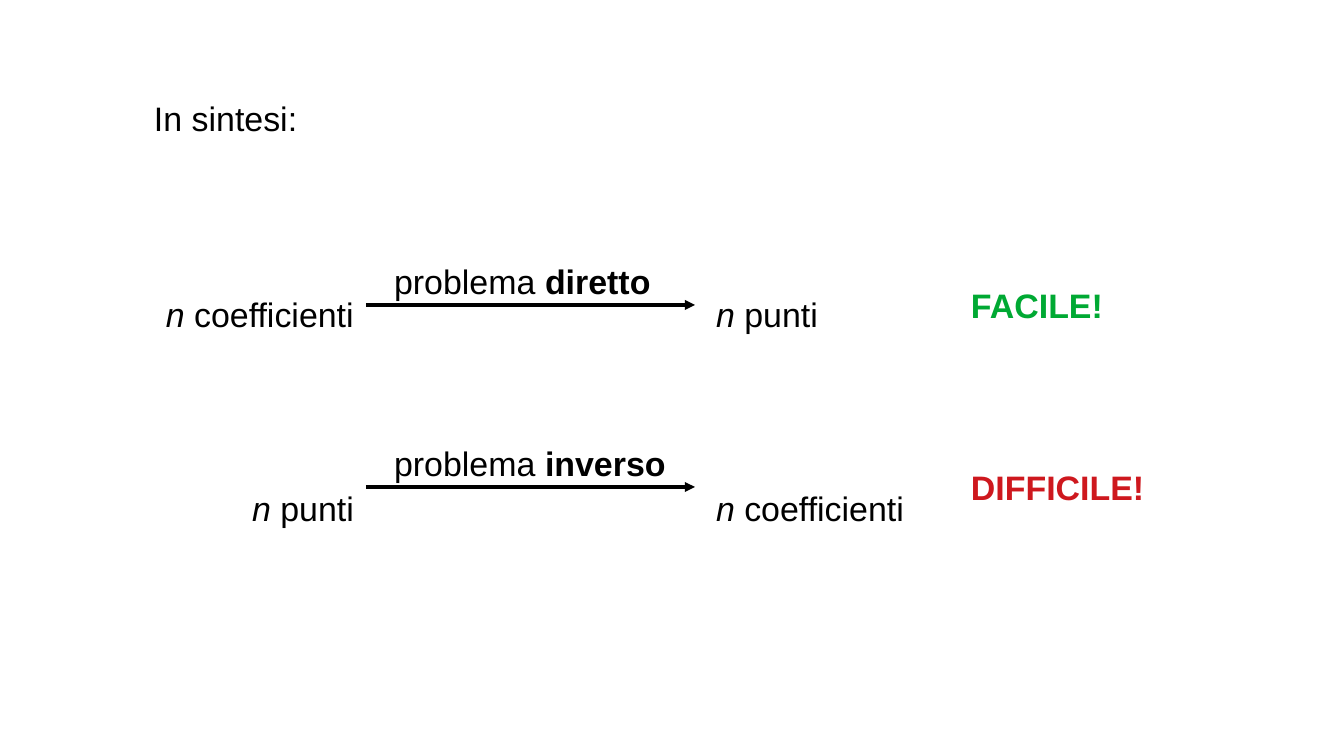
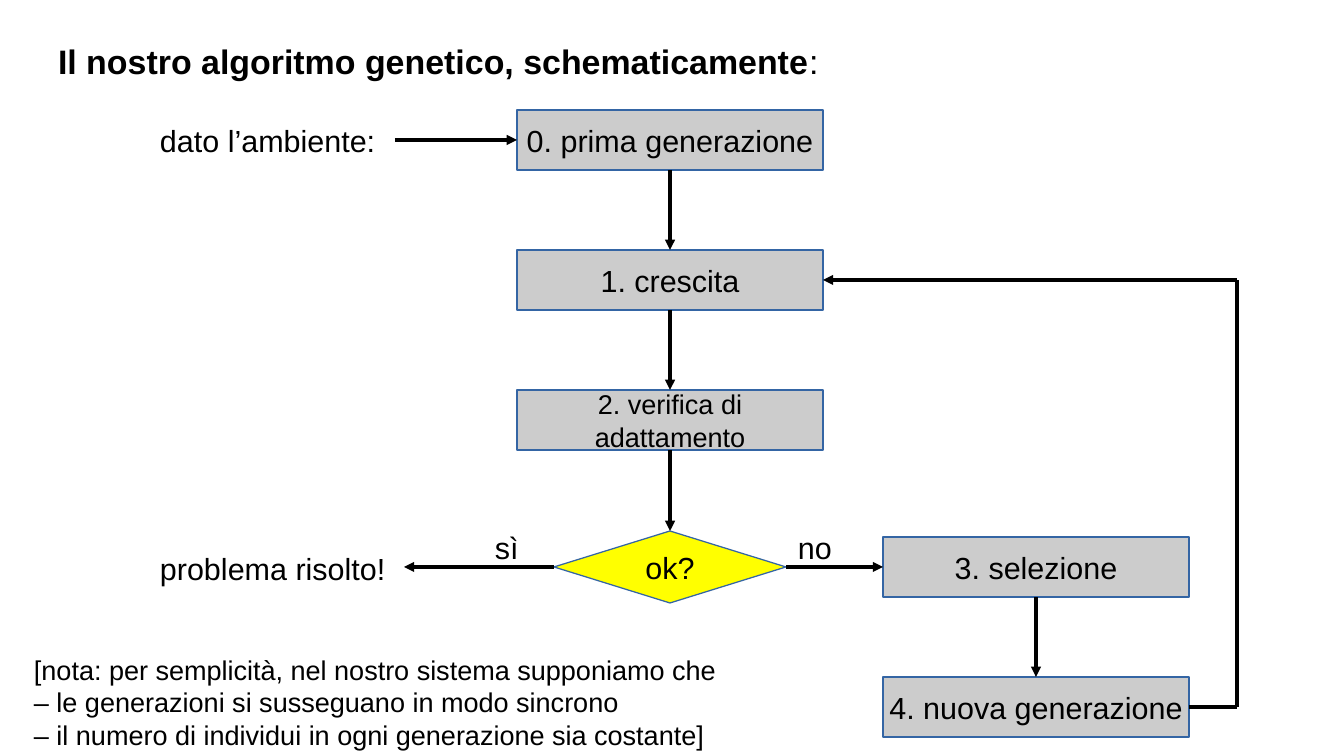
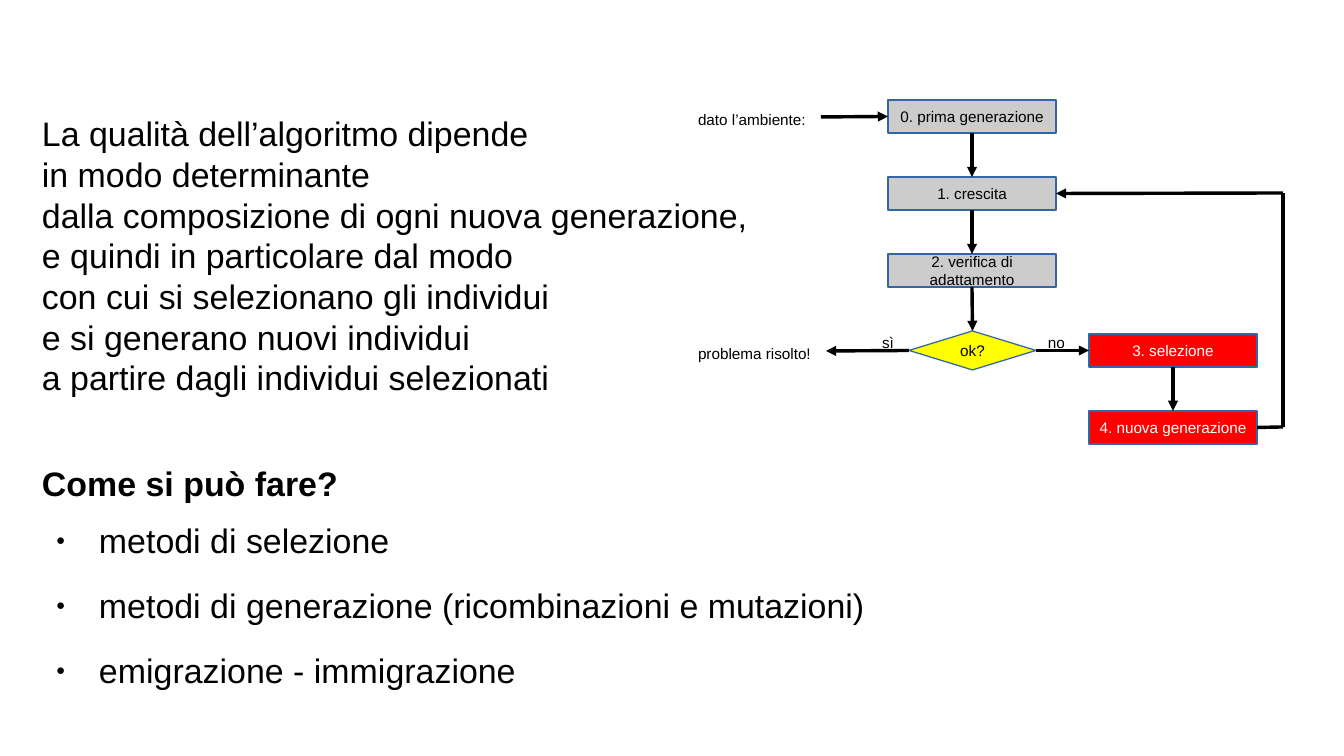
"""Builds three slides on a genetic algorithm and its flow chart."""
from dataclasses import dataclass, field
from typing import Any, NamedTuple

from lxml import etree
from pptx import Presentation, util as u
from pptx.dml import color
from pptx.enum import shapes, text
from pptx.oxml import ns

EMU_PER_PX = 7495
WIDTH, HEIGHT = 1344, 756
FONT = "Arial"
BLACK, WHITE, GREY, YELLOW, RED = "000000", "FFFFFF", "CCCCCC", "FFFF00", "FF0000"
GREEN, CRIMSON, OUTLINE = "00A933", "CE181E", "3465A4"
LINE_HEIGHT = 40
TOP, LEFT, BOTTOM, RIGHT = range(4)
STEP_WIDTH, STEP_HEIGHT, STEP_GAP = 306, 60, 140
MAIN_LEFT, MAIN_TOP, SIDE_LEFT, SIDE_TOP = 517, 110, 883, 537
MAIN_MIDDLE, OK_MIDDLE, RETURN_X = 670, 567, 1237


class Area(NamedTuple):
    left: int
    top: int
    width: int
    height: int


class Point(NamedTuple):
    x: int
    y: int


class Side(NamedTuple):
    step: str
    site: int


class Link(NamedTuple):
    start: Point | Side
    stop: Point | Side
    arrow: bool = True


@dataclass(frozen=True)
class Span:
    words: str
    style: dict[str, Any] = field(default_factory=dict)


@dataclass(frozen=True)
class Step:
    name: str
    lines: list[str]
    area: Area
    fill: str = GREY
    kind: shapes.MSO_SHAPE = shapes.MSO_SHAPE.RECTANGLE
    dense: bool = False
    varied: bool = False


@dataclass(frozen=True)
class View:
    left: int
    top: int
    scale: float
    size: int
    dense_size: int
    highlight: bool

    def point(self, spot: Point) -> Point:
        return Point(round(self.left + spot.x * self.scale), round(self.top + spot.y * self.scale))

    def area(self, area: Area) -> Area:
        corner = self.point(Point(area.left, area.top))
        return Area(*corner, round(area.width * self.scale), round(area.height * self.scale))


def main_area(row: int) -> Area:
    return Area(MAIN_LEFT, MAIN_TOP + row * STEP_GAP, STEP_WIDTH, STEP_HEIGHT)


def side_area(row: int) -> Area:
    return Area(SIDE_LEFT, SIDE_TOP + row * STEP_GAP, STEP_WIDTH, STEP_HEIGHT)


STEPS = [
    Step("first", ["0. prima generazione"], main_area(0)),
    Step("growth", ["1. crescita"], main_area(1)),
    Step("check", ["2. verifica di", "adattamento"], main_area(2), dense=True),
    Step("selection", ["3. selezione"], side_area(0), varied=True),
    Step("ok", ["ok?"], Area(554, 531, 232, 72), YELLOW, shapes.MSO_SHAPE.DIAMOND),
    Step("next", ["4. nuova generazione"], side_area(1), varied=True),
]
RETURN_LOW = Point(RETURN_X, SIDE_TOP + STEP_GAP + STEP_HEIGHT // 2)
RETURN_HIGH = Point(RETURN_X, MAIN_TOP + STEP_GAP + STEP_HEIGHT // 2)
LINKS = [
    Link(Point(395, MAIN_TOP + STEP_HEIGHT // 2), Side("first", LEFT)),
    Link(Side("first", BOTTOM), Side("growth", TOP)),
    Link(Side("growth", BOTTOM), Side("check", TOP)),
    Link(Side("check", BOTTOM), Side("ok", TOP)),
    Link(Side("ok", RIGHT), Side("selection", LEFT)),
    Link(Side("selection", BOTTOM), Side("next", TOP)),
    Link(Side("next", RIGHT), RETURN_LOW, False),
    Link(RETURN_LOW, RETURN_HIGH, False),
    Link(RETURN_HIGH, Side("growth", RIGHT)),
    Link(Side("ok", LEFT), Point(404, OK_MIDDLE)),
]
LABELS = [
    ("no", Area(786, 523, 98, 46)),
    ("sì", Area(483, 523, 73, 46)),
    ("dato l’ambiente:", Area(148, 116, 256, 46)),
    ("problema risolto!", Area(148, 544, 256, 46)),
]


def px(length: float) -> u.Emu:
    return u.Emu(round(length * EMU_PER_PX))


def rgb(value: str) -> color.RGBColor:
    return color.RGBColor.from_string(value)


def set_all(target: Any, values: dict[str, Any]) -> None:
    for name, value in values.items():
        setattr(target, name, value)


def write(frame: Any, lines: list[list[Span]], size: int = 20, ink: str = BLACK,
          align: text.PP_ALIGN = text.PP_ALIGN.LEFT, before: float = 0) -> None:
    for index, spans in enumerate(lines):
        para = frame.add_paragraph() if index else frame.paragraphs[0]
        set_all(para, {"alignment": align, "space_before": u.Pt(before)})
        for span in spans:
            run = para.add_run()
            run.text = span.words
            set_all(run.font, {"name": FONT, "size": u.Pt(size), "bold": False} | span.style)
            run.font.color.rgb = rgb(ink)


def place(box: Any, area: Area, inset: bool = False) -> Any:
    set_all(box, dict(zip(("left", "top", "width", "height"), map(px, area))))
    frame = box.text_frame
    set_all(frame, {"word_wrap": True, "auto_size": text.MSO_AUTO_SIZE.NONE,
                    "vertical_anchor": text.MSO_ANCHOR.TOP})
    if not inset:
        set_all(frame, {f"margin_{side}": 0 for side in ("left", "top", "right", "bottom")})
    return frame


def add_text(page: Any, area: Area, lines: list[list[Span]], inset: bool = False, **look: Any) -> None:
    box = page.shapes.add_textbox(0, 0, 0, 0)
    write(place(box, area, inset), lines, **look)


def add_title(page: Any, area: Area, spans: list[Span]) -> None:
    write(place(page.shapes.title, area), [spans])


def add_line(page: Any, start: Point, stop: Point, arrow: bool = True) -> Any:
    line = page.shapes.add_connector(shapes.MSO_CONNECTOR.STRAIGHT, *map(px, (*start, *stop)))
    line.line.color.rgb = rgb(BLACK)
    line.line.width = 0
    if arrow:
        etree.SubElement(line.get_or_add_ln(), ns.qn("a:tailEnd"), type="triangle")
    etree.SubElement(line.element.spPr, ns.qn("a:effectLst"))
    return line


def add_step(page: Any, step: Step, view: View) -> Any:
    box = page.shapes.add_shape(step.kind, *map(px, view.area(step.area)))
    box.shadow.inherit = False
    marked = step.varied and view.highlight
    box.fill.solid()
    box.fill.fore_color.rgb = rgb(RED if marked else step.fill)
    box.line.color.rgb = rgb(OUTLINE)
    box.line.width = 0
    set_all(box.text_frame, {"word_wrap": False, "vertical_anchor": text.MSO_ANCHOR.MIDDLE})
    write(box.text_frame, [[Span(line)] for line in step.lines],
          size=view.dense_size if step.dense else view.size,
          ink=WHITE if marked else BLACK, align=text.PP_ALIGN.CENTER)
    return box


def add_flow(page: Any, view: View) -> None:
    boxes = {step.name: add_step(page, step, view) for step in STEPS}
    for link in LINKS:
        start, stop = (Point(0, 0) if isinstance(end, Side) else view.point(end) for end in link[:2])
        line = add_line(page, start, stop, link.arrow)
        for end, join in ((link.start, line.begin_connect), (link.stop, line.end_connect)):
            if isinstance(end, Side):
                join(boxes[end.step], end.site)
    for words, area in LABELS:
        add_text(page, view.area(area), [[Span(words)]], inset=True, size=view.size)


def add_bullets(frame: Any) -> None:
    for para in frame.paragraphs:
        props = para._p.get_or_add_pPr()
        props.set("marL", str(px(57)))
        props.set("indent", str(px(-43)))
        tint = etree.SubElement(props, ns.qn("a:buClr"))
        etree.SubElement(tint, ns.qn("a:srgbClr"), val=BLACK)
        etree.SubElement(props, ns.qn("a:buSzPct"), val="45000")
        etree.SubElement(props, ns.qn("a:buChar"), char="●")


def summary_page(page: Any) -> None:
    add_title(page, Area(154, 98, 200, LINE_HEIGHT), [Span("In sintesi:")])
    rows = [
        (" coefficienti", "diretto", " punti", "FACILE!", GREEN, 294, 305),
        (" punti", "inverso", " coefficienti", "DIFFICILE!", CRIMSON, 488, 487),
    ]
    italic, bold = {"italic": True}, {"bold": True}
    for source, problem, result, verdict, ink, term_top, arrow_y in rows:
        add_text(page, Area(154, term_top, 200, LINE_HEIGHT), [[Span("n", italic), Span(source)]],
                 align=text.PP_ALIGN.RIGHT)
        add_text(page, Area(716, term_top, 211, LINE_HEIGHT), [[Span("n", italic), Span(result)]])
        add_line(page, Point(366, arrow_y), Point(695, arrow_y))
        add_text(page, Area(394, arrow_y - 44, 299, LINE_HEIGHT), [[Span("problema "), Span(problem, bold)]])
        add_text(page, Area(971, arrow_y - 20, 212, LINE_HEIGHT), [[Span(verdict, bold)]], ink=ink)


def scheme_page(page: Any) -> None:
    add_title(page, Area(58, 41, 1247, LINE_HEIGHT),
              [Span("Il nostro algoritmo genetico, schematicamente", {"bold": True}), Span(":")])
    add_flow(page, View(0, 0, 1, 18, 16, False))
    note = ["[nota: per semplicità, nel nostro sistema supponiamo che",
            "– le generazioni si susseguano in modo sincrono",
            "– il numero di individui in ogni generazione sia costante]"]
    add_text(page, Area(22, 647, 759, 103), [[Span(line)] for line in note], inset=True, size=16)


def quality_page(page: Any) -> None:
    add_flow(page, View(605, 40, 0.548, 9, 9, True))
    claim = ["La qualità dell’algoritmo dipende", "in modo determinante",
             "dalla composizione di ogni nuova generazione,", "e quindi in particolare dal modo",
             "con cui si selezionano gli individui", "e si generano nuovi individui",
             "a partire dagli individui selezionati"]
    add_text(page, Area(42, 113, 737, 290), [[Span(line)] for line in claim])
    add_title(page, Area(42, 463, 737, LINE_HEIGHT), [Span("Come si può fare?", {"bold": True})])
    methods = ["metodi di selezione", "metodi di generazione (ricombinazioni e mutazioni)",
               "emigrazione - immigrazione"]
    frame = place(page.placeholders[1], Area(42, 520, 1116, 182))
    write(frame, [[Span(line)] for line in methods], before=14.2)
    add_bullets(frame)


def main() -> None:
    deck = Presentation()
    set_all(deck, {"slide_width": px(WIDTH), "slide_height": px(HEIGHT)})
    for layout, draw in ((5, summary_page), (5, scheme_page), (1, quality_page)):
        draw(deck.slides.add_slide(deck.slide_layouts[layout]))
    deck.save("out.pptx")


if __name__ == "__main__":
    main()
